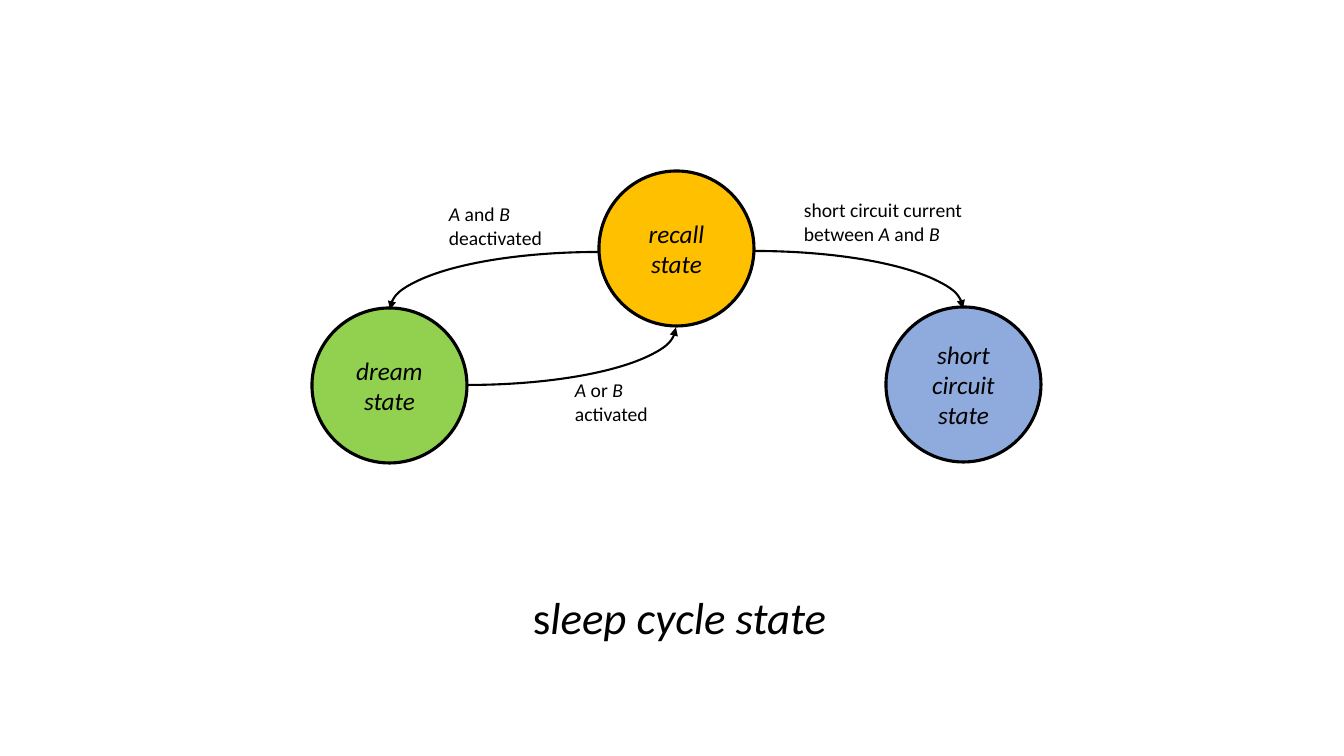
from pptx import Presentation
from pptx.dml.color import RGBColor
from pptx.enum.shapes import MSO_SHAPE
from pptx.enum.text import MSO_ANCHOR, MSO_AUTO_SIZE, PP_ALIGN
from pptx.oxml.ns import qn
from pptx.util import Pt
from lxml import etree

BLACK = RGBColor(0x00, 0x00, 0x00)
GREEN = RGBColor(0x92, 0xD0, 0x50)
AMBER = RGBColor(0xFF, 0xC0, 0x00)
BLUE = RGBColor(0x8F, 0xAA, 0xDC)
FONT = "Calibri"

# Lengths in px; runs are (text, italic)
DIAMETER = 155
STATES = [
    ("dream state", 312, 308, GREEN),
    ("recall state", 599, 171, AMBER),
    ("short circuit state", 886, 307, BLUE),
]
ARC_SIZE = (417, 115)
ARCS = [  # left, top, flip attribute
    (259, 270, "flipV"),
    (390, 252, "flipH"),
    (546, 251, None),
]
LABELS = [  # box, runs
    ((565, 373, 99, 57),
     [("A", True), (" or ", False), ("B", True), (" activated", False)]),
    ((439, 197, 126, 57),
     [("A", True), (" and ", False), ("B", True), (" deactivated", False)]),
    ((794, 193, 222, 57),
     [("short circuit current between ", False), ("A", True),
      (" and ", False), ("B", True)]),
]
TITLE_BOX = (523, 585, 327, 65)
TITLE = [("s", False), ("leep cycle state", True)]


def px(n):
    return round(n * 914400 / 100.8)


def add_runs(p, runs, size):
    for text, italic in runs:
        r = p.add_run()
        r.text = text
        r.font.name = FONT
        r.font.size = Pt(size)
        r.font.italic = italic
        r.font.color.rgb = BLACK


def add_outlined(s, kind, box, width):
    sp = s.shapes.add_shape(kind, *map(px, box))
    sp.shadow.inherit = False
    sp.line.color.rgb = BLACK
    sp.line.width = Pt(width)
    return sp


def add_state(s, name, left, top, color):
    sp = add_outlined(s, MSO_SHAPE.OVAL, (left, top, DIAMETER, DIAMETER), 2.25)
    sp.fill.solid()
    sp.fill.fore_color.rgb = color
    tf = sp.text_frame
    tf.word_wrap = True
    tf.vertical_anchor = MSO_ANCHOR.MIDDLE
    p = tf.paragraphs[0]
    p.alignment = PP_ALIGN.CENTER
    add_runs(p, [(name, True)], 18)


def add_arc(s, left, top, flip):
    sp = add_outlined(s, MSO_SHAPE.ARC, (left, top, *ARC_SIZE), 1.5)
    sp.fill.background()
    spPr = sp.element.spPr
    if flip:
        spPr.find(qn("a:xfrm")).set(flip, "1")
    etree.SubElement(spPr.find(qn("a:ln")), qn("a:tailEnd"), type="triangle")


def add_text(s, box, runs, size, wrap):
    tf = s.shapes.add_textbox(*map(px, box)).text_frame
    tf.word_wrap = wrap
    tf.auto_size = MSO_AUTO_SIZE.SHAPE_TO_FIT_TEXT
    add_runs(tf.paragraphs[0], runs, size)


def main():
    prs = Presentation()
    prs.slide_width, prs.slide_height = px(1344), px(756)
    s = prs.slides.add_slide(prs.slide_layouts[6])
    for state in STATES:
        add_state(s, *state)
    for arc in ARCS:
        add_arc(s, *arc)
    for box, runs in LABELS:
        add_text(s, box, runs, 14, True)
    add_text(s, TITLE_BOX, TITLE, 32, False)
    prs.save("out.pptx")


if __name__ == "__main__":
    main()
